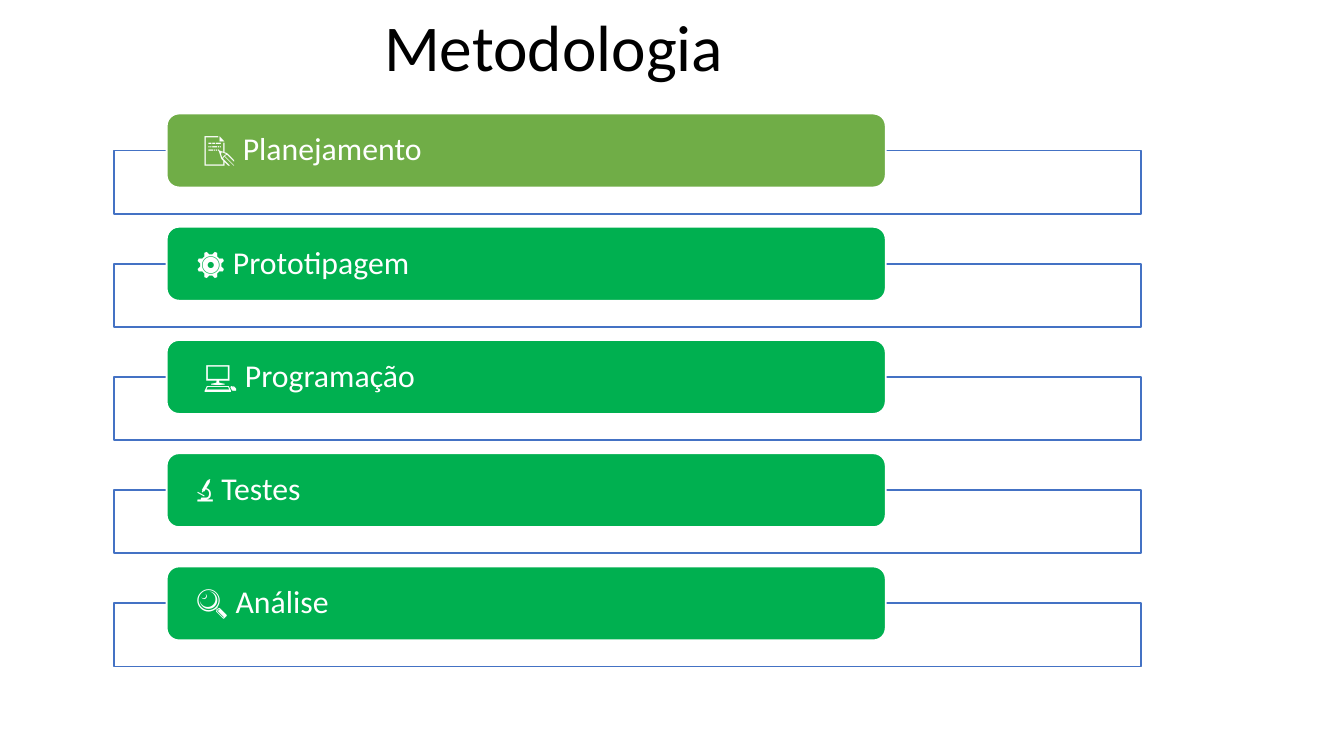
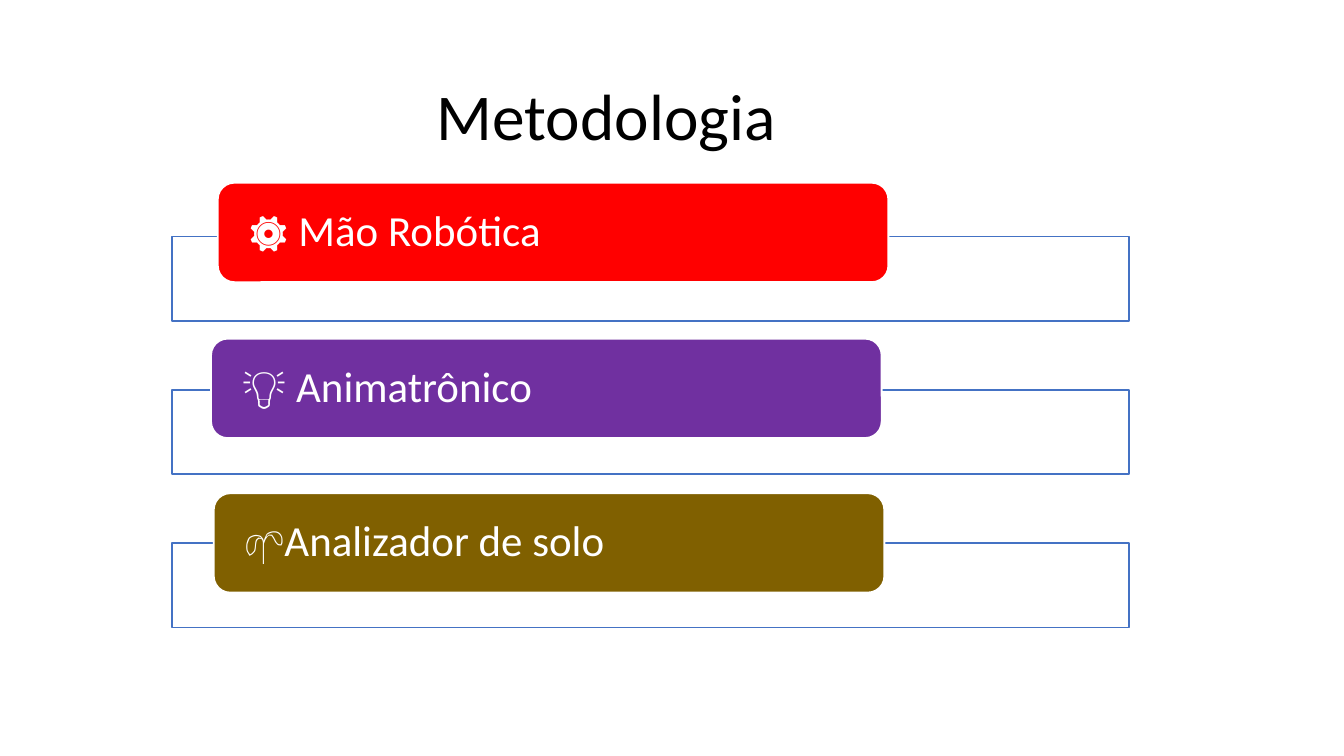
from dataclasses import dataclass

from lxml.etree import SubElement as Sub
from pptx import Presentation as Deck
from pptx.dml.color import RGBColor as Rgb
from pptx.enum.shapes import MSO_SHAPE as Form
from pptx.enum.text import MSO_ANCHOR as Anchor
from pptx.enum.text import MSO_AUTO_SIZE as Fit
from pptx.oxml.ns import qn
from pptx.util import Inches, Pt


@dataclass(frozen=True)
class Theme:
    font: str = "Calibri"
    black: str = "000000"
    white: str = "FFFFFF"
    blue: str = "4472C4"
    lime: str = "70AD47"
    green: str = "00B050"
    red: str = "FF0000"
    purple: str = "7030A0"
    brown: str = "806000"
    title: int = 35
    small: int = 17
    large: int = 23
    line: int = 1
    alpha: int = 90


@dataclass(frozen=True)
class Plan:
    left: float
    top: float
    width: float
    height: float
    step: float
    bar_width: float
    bar_height: float
    pad_x: float
    pad_y: float
    inset: float
    size: int


THEME = Theme()
STEPS = Plan(0.85, 1.12, 7.64, 0.47, 3.37 / 4, 5.35, 0.55, 0.02, 0.03, 0.2, THEME.small)
WORKS = Plan(1.28, 1.76, 7.12, 0.63, 1.14, 4.99, 0.74, 0.04, 0.03, 0.19, THEME.large)


def add_text(slide, text, box, size, color, wrap=True, inset=None, anchor=Anchor.TOP,
             spacing=None, fit=Fit.NONE):
    frame = slide.shapes.add_textbox(*map(Inches, box)).text_frame
    frame.word_wrap = wrap
    frame.auto_size = fit
    frame.vertical_anchor = anchor
    if inset is not None:
        frame.margin_left = frame.margin_right = Inches(inset)
        frame.margin_top = frame.margin_bottom = 0
    para = frame.paragraphs[0]
    para.line_spacing = spacing
    run = para.add_run()
    run.text = text
    run.font.name = THEME.font
    run.font.size = Pt(size)
    run.font.color.rgb = Rgb.from_string(color)


def add_box(slide, form, box, fill, line, alpha=None):
    shape = slide.shapes.add_shape(form, *map(Inches, box))
    shape.shadow.inherit = False
    shape.fill.solid()
    shape.fill.fore_color.rgb = Rgb.from_string(fill)
    shape.line.color.rgb = Rgb.from_string(line)
    shape.line.width = Pt(THEME.line)
    if alpha:
        color = next(shape.element.spPr.iter(qn("a:srgbClr")))
        Sub(color, qn("a:alpha"), val=str(alpha * 1000))


def add_title(slide, left, top):
    add_text(slide, "Metodologia", (left, top, 2.75, 0.69), THEME.title, THEME.black,
             wrap=False, fit=Fit.SHAPE_TO_FIT_TEXT)


def add_row(slide, plan, index, text, fill, bar_left, bar_top):
    frame_top = plan.top + index * plan.step
    add_box(slide, Form.RECTANGLE, (plan.left, frame_top, plan.width, plan.height),
            THEME.white, THEME.blue, THEME.alpha)
    add_box(slide, Form.ROUNDED_RECTANGLE,
            (bar_left, bar_top, plan.bar_width, plan.bar_height), fill, THEME.white)
    label = (bar_left + plan.pad_x, bar_top + plan.pad_y,
             plan.bar_width - 2 * plan.pad_x, plan.bar_height - 2 * plan.pad_y)
    add_text(slide, text, label, plan.size, THEME.white, inset=plan.inset,
             anchor=Anchor.MIDDLE, spacing=0.9)


def draw_steps(slide):
    add_title(slide, 2.76, 0)
    names = (" 📝 Planejamento", "⚙ Prototipagem", " 💻 Programação", "🔬 Testes", "🔍 Análise")
    for index, name in enumerate(names):
        fill = THEME.green if index else THEME.lime
        add_row(slide, STEPS, index, name, fill, 1.24, 0.845 + index * STEPS.step)


def draw_works(slide):
    add_title(slide, 3.15, 0.51)
    works = (
        ("⚙ Mão Robótica", THEME.red, 1.62, 1.36),
        ("💡 Animatrônico", THEME.purple, 1.57, 2.52),
        ("🌱Analizador de solo", THEME.brown, 1.59, 3.67),
    )
    for index, work in enumerate(works):
        add_row(slide, WORKS, index, *work)


def main():
    deck = Deck()
    deck.slide_width = Inches(10)
    deck.slide_height = deck.slide_width * 9 // 16
    for draw in (draw_steps, draw_works):
        draw(deck.slides.add_slide(deck.slide_layouts[6]))
    deck.save("out.pptx")


if __name__ == "__main__":
    main()
